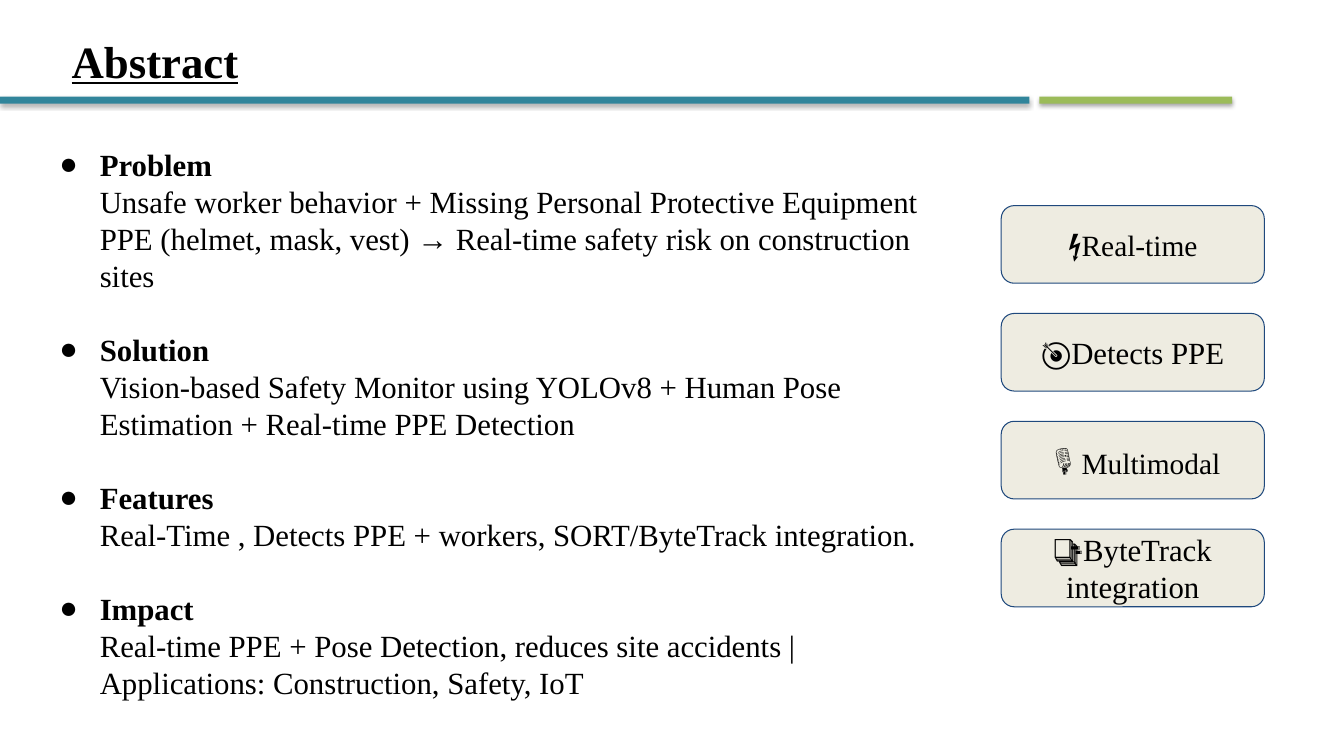
import pptx
import pptx.util
import pptx.dml.color
import pptx.enum.shapes
import pptx.enum.text
import pptx.oxml
import pptx.oxml.ns

Inches = pptx.util.Inches
Pt = pptx.util.Pt
Color = pptx.dml.color.RGBColor
Shape = pptx.enum.shapes.MSO_SHAPE
Align = pptx.enum.text.PP_ALIGN
Anchor = pptx.enum.text.MSO_ANCHOR

BLACK = Color(0x00, 0x00, 0x00)
TEAL = Color(0x31, 0x85, 0x9B)
GREEN = Color(0x9B, 0xBB, 0x59)
CREAM = Color(0xEE, 0xEC, 0xE1)
NAVY = Color(0x1F, 0x49, 0x7D)

TOPICS = [
    ("Problem", "Unsafe worker behavior + Missing Personal Protective Equipment "
     "PPE (helmet, mask, vest) → Real-time safety risk on construction sites"),
    ("Solution", "Vision-based Safety Monitor using YOLOv8 + Human Pose "
     "Estimation + Real-time PPE Detection"),
    ("Features", "Real-Time , Detects PPE + workers, SORT/ByteTrack integration."),
    ("Impact", "Real-time PPE + Pose Detection, reduces site accidents | "
     "Applications: Construction, Safety, IoT"),
]
BADGES = [
    [("⚡", 21), ("Real-time", 21)],
    [("🎯", 21), ("Detects PPE", 22)],
    [("🎙", 26), ("Multimodal", 21)],
    [("📑", 21), ("ByteTrack integration", 22)],
]
SHADOW = (
    '<a:effectLst %s><a:outerShdw blurRad="39370" dist="22860" dir="5400000" '
    'rotWithShape="0"><a:srgbClr val="000000"><a:alpha val="35000"/></a:srgbClr>'
    '</a:outerShdw></a:effectLst>' % pptx.oxml.ns.nsdecls("a"))
BULLET = (
    '<a:buClr %s><a:srgbClr val="000000"/></a:buClr>',
    '<a:buFont %s typeface="Times New Roman"/>',
    '<a:buChar %s char="●"/>',
)


def write(para, text, size=22, bold=False, line=False):
    run = para.add_run()
    run.text = text
    font = run.font
    font.name = "Times New Roman"
    font.size = Pt(size)
    font.bold = bold
    font.underline = line
    font.color.rgb = BLACK


class Deck:
    def __init__(self):
        self.show = pptx.Presentation()
        self.show.slide_width = Inches(13.33)
        self.show.slide_height = Inches(7.5)
        self.slide = self.show.slides.add_slide(self.show.slide_layouts[5])

    def frame(self, shape, anchor, inset=0):
        frame = shape.text_frame
        frame.word_wrap = True
        frame.auto_size = pptx.enum.text.MSO_AUTO_SIZE.NONE
        frame.vertical_anchor = anchor
        frame.margin_left = frame.margin_right = Inches(inset)
        frame.margin_top = frame.margin_bottom = Inches(inset)
        return frame

    def title(self, text, *box):
        shape = self.slide.shapes.title
        shape.left, shape.top, shape.width, shape.height = map(Inches, box)
        para = self.frame(shape, Anchor.TOP).paragraphs[0]
        para.alignment = Align.LEFT
        write(para, text, size=32, bold=True, line=True)

    def block(self, kind, fill, *box):
        shape = self.slide.shapes.add_shape(kind, *map(Inches, box))
        shape.shadow.inherit = False
        shape.fill.solid()
        shape.fill.fore_color.rgb = fill
        return shape

    def bar(self, fill, *box):
        shape = self.block(Shape.RECTANGLE, fill, *box)
        shape.line.fill.background()
        props = shape.element.spPr
        props.remove(props.find(pptx.oxml.ns.qn("a:effectLst")))
        props.append(pptx.oxml.parse_xml(SHADOW))

    def topics(self, items, *box):
        shape = self.slide.shapes.add_textbox(*map(Inches, box))
        frame = self.frame(shape, Anchor.TOP)
        for head, text in items:
            first = head == items[0][0]
            para = frame.paragraphs[0] if first else frame.add_paragraph()
            para.space_before = Pt(0 if first else 26.4)
            props = para._p.get_or_add_pPr()
            props.set("marL", str(Inches(0.5)))
            props.set("indent", str(Inches(-0.4)))
            for mark in BULLET:
                props.append(pptx.oxml.parse_xml(mark % pptx.oxml.ns.nsdecls("a")))
            write(para, head, bold=True)
            para = frame.add_paragraph()
            para._p.get_or_add_pPr().set("marL", str(Inches(0.5)))
            write(para, text)

    def badge(self, parts, *box):
        shape = self.block(Shape.ROUNDED_RECTANGLE, CREAM, *box)
        shape.line.color.rgb = NAVY
        shape.line.width = Pt(0.75)
        para = self.frame(shape, Anchor.MIDDLE, 0.1).paragraphs[0]
        para.alignment = Align.CENTER
        for text, size in parts:
            write(para, text, size=size)


def main():
    deck = Deck()
    deck.bar(GREEN, 10.31, 0.96, 1.91, 0.07)
    deck.bar(TEAL, 0, 0.96, 10.21, 0.07)
    deck.title("Abstract", 0.71, 0.33, 2.77, 0.39)
    deck.topics(TOPICS, 0.49, 1.45, 8.86, 6.05)
    for row, parts in enumerate(BADGES):
        deck.badge(parts, 9.93, 2.04 + row * 1.07, 2.61, 0.77)
    deck.show.save("out.pptx")


if __name__ == "__main__":
    main()
